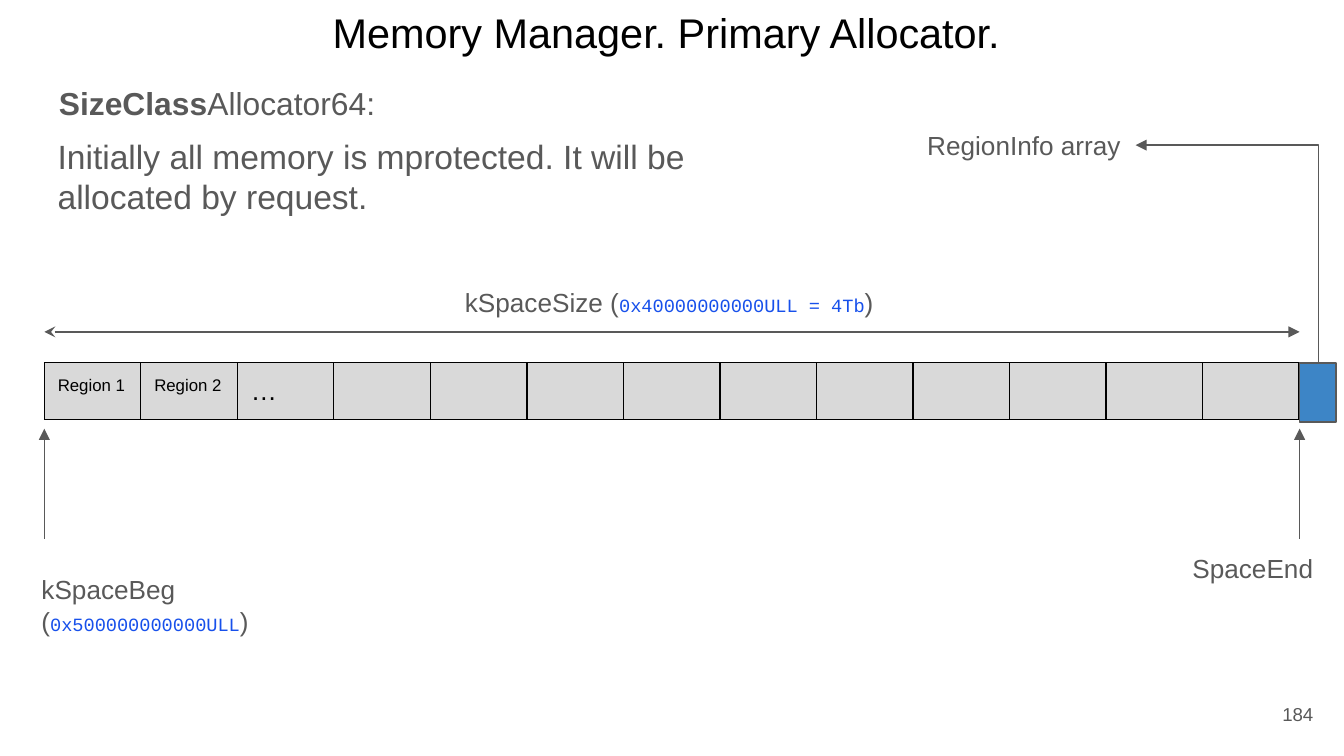
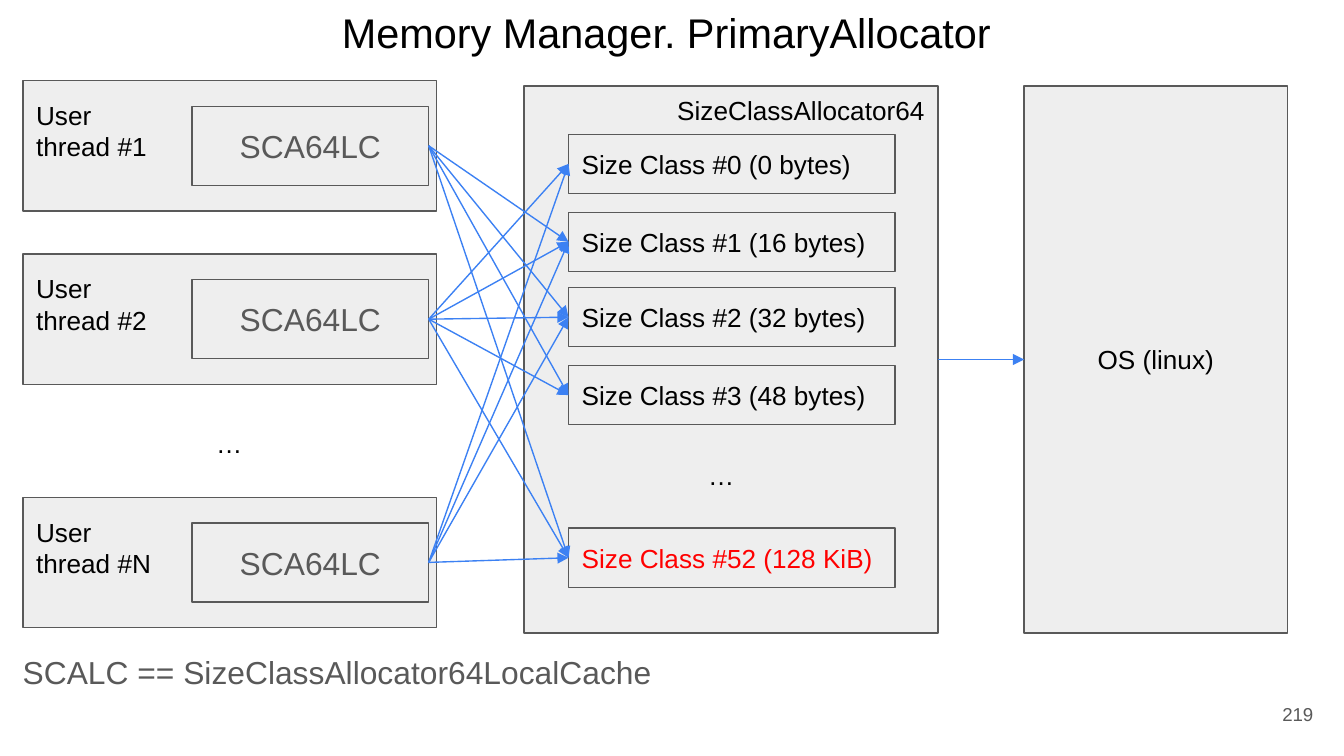
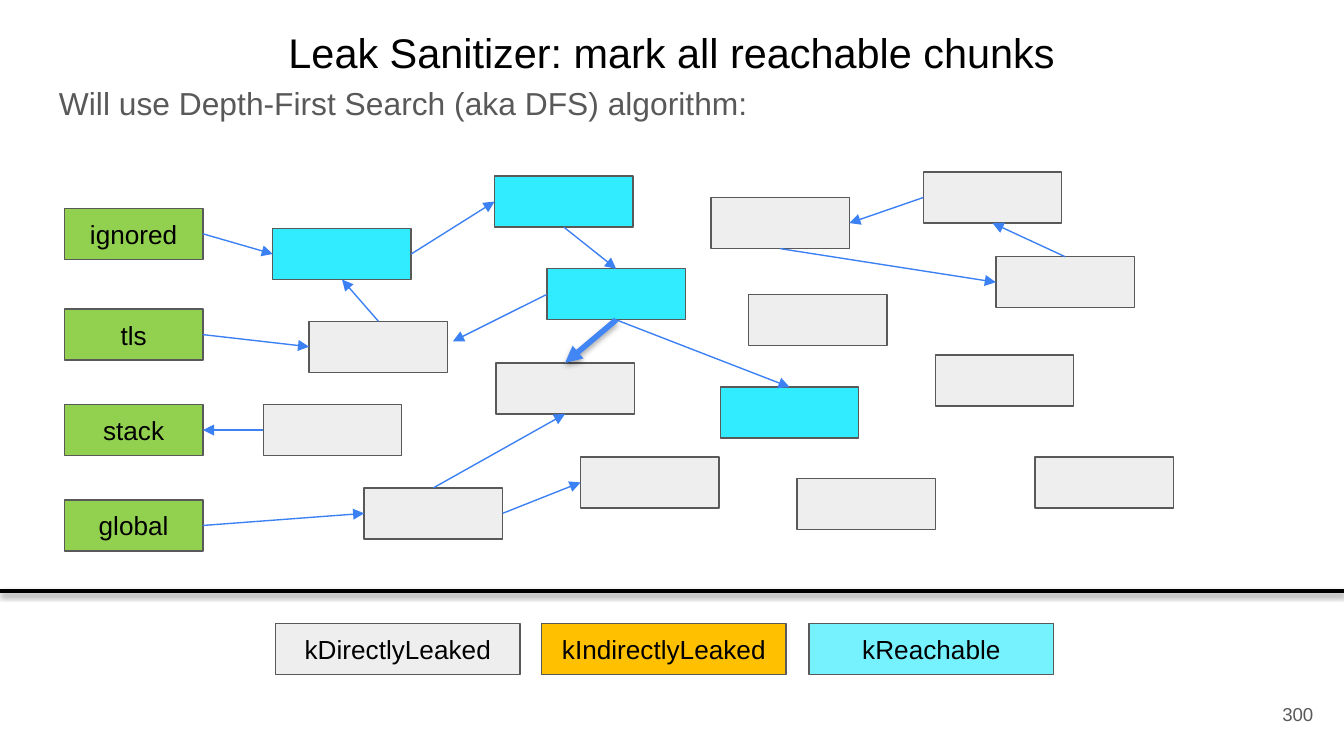
from dataclasses import dataclass, field

from lxml.etree import SubElement
from pptx import Presentation
from pptx.dml.color import RGBColor
from pptx.enum.shapes import MSO_CONNECTOR as LINK, MSO_SHAPE as PRESET
from pptx.enum.text import MSO_ANCHOR as ANCHOR, MSO_AUTO_SIZE as AUTO, PP_ALIGN as ALIGN
from pptx.oxml.ns import qn
from pptx.util import Emu, Pt

PX = 9144  # one px is a hundredth of an inch
SLIDE_WIDTH = 1000
SLIDE_HEIGHT = SLIDE_WIDTH * 9 / 16
TOP, LEFT, BOTTOM, RIGHT = range(4)  # connection sites of a rectangle


@dataclass(frozen=True)
class Theme:
    ink: str = "000000"
    gray: str = "595959"
    panel: str = "EEEEEE"
    cell: str = "D9D9D9"
    info: str = "3D85C6"
    arrow: str = "3C81F3"
    step: str = "4285F4"
    root: str = "92D050"
    reached: str = "31EBFF"
    reached_key: str = "76F2FF"
    indirect: str = "FFC000"
    hairline: float = 0.75
    inset: int = 10
    # style name: font, size, colour, bold
    styles: dict = field(default_factory=lambda: {
        "title": ("Arial", 22.2, "000000", False),
        "lead": ("Arial", 17, "595959", False),
        "strong": ("Arial", 17, "595959", True),
        "note": ("Arial", 18, "595959", False),
        "label": ("Arial", 14, "595959", False),
        "box": ("Arial", 14, "000000", False),
        "alert": ("Arial", 14, "FF0000", False),
        "region": ("Arial", 9, "000000", False),
        "code": ("Courier New", 10, "1750EB", False),
        "number": ("Arial", 10, "595959", False),
    })


THEME = Theme()

# Slide 1: address space
SPACE_LEFT, SPACE_TOP, SPACE_WIDTH, SPACE_HEIGHT = 33, 270, 934, 42
SPACE_RIGHT = SPACE_LEFT + SPACE_WIDTH
REGION_COUNT = 13
REGIONS = [("Region 1", "region"), ("Region 2", "region"), ("…", "box")]
SPACE_LABELS = [  # place, paragraphs, alignment
    ((34, 52, 952, 489), [[("SizeClass", "strong"), ("Allocator64:", "lead")]], ALIGN.LEFT),
    ((33, 91, 575, 81), [[("Initially all memory is mprotected. It will be allocated by request.",
                           "note")]], ALIGN.LEFT),
    ((336, 203, 328, 44), [[("kSpaceSize (", "label"), ("0x40000000000ULL = 4Tb", "code"),
                            (")", "label")]], ALIGN.LEFT),
    ((21, 417, 199, 67), [[("kSpaceBeg", "label")],
                          [("(", "label"), ("0x500000000000ULL", "code"), (")", "label")]],
     ALIGN.LEFT),
    ((788, 401, 199, 44), [[("SpaceEnd", "label")]], ALIGN.RIGHT),
    ((680, 86, 165, 44), [[("RegionInfo array", "label")]], ALIGN.LEFT),
]

# Slide 2: threads, size classes and the system
THREADS = [  # name, top, numbers of the size classes it reaches
    ("thread #1", 60, (1, 2, 3, 52)),
    ("thread #2", 189, (0, 1, 2, 3, 52)),
    ("thread #N", 370, (0, 1, 2, 52)),
]
SIZE_CLASSES = [  # number, size, top, style
    (0, "0 bytes", 100, "box"),
    (1, "16 bytes", 158, "box"),
    (2, "32 bytes", 214, "box"),
    (3, "48 bytes", 272, "box"),
    (52, "128 KiB", 393, "alert"),
]

# Slide 3: chunk graph
CHUNK_SIZE = (103, 38)
ROOTS = {"ignored": 155, "tls": 230, "stack": 301, "global": 372}
REACHED = {"a": (203, 170), "b": (368, 131), "c": (407, 200), "d": (536, 288)}
LEAKED = {
    "e": (230, 239), "f": (196, 301), "g": (271, 363), "h": (369, 270),
    "i": (432, 340), "j": (529, 147), "k": (557, 219), "l": (593, 356),
    "m": (687, 128), "n": (741, 191), "o": (696, 264), "p": (770, 340),
}
POINTERS = [  # source, site, target, site
    ("a", RIGHT, "b", LEFT), ("b", BOTTOM, "c", TOP),
    ("tls", RIGHT, "e", LEFT), ("ignored", RIGHT, "a", LEFT),
    ("f", LEFT, "stack", RIGHT), ("c", BOTTOM, "d", TOP),
    ("e", TOP, "a", BOTTOM), ("m", LEFT, "j", RIGHT),
    ("j", BOTTOM, "n", LEFT), ("n", TOP, "m", BOTTOM),
    ("global", RIGHT, "g", LEFT), ("g", TOP, "h", BOTTOM),
    ("g", RIGHT, "i", LEFT),
]
LEGEND = [
    ("kDirectlyLeaked", 205, THEME.panel),
    ("kIndirectlyLeaked", 403, THEME.indirect),
    ("kReachable", 602, THEME.reached_key),
]


def emu(*lengths):
    return [Emu(round(length * PX)) for length in lengths]


def color(code):
    return RGBColor.from_string(code)


def assign(target, values):
    for name, value in values.items():
        setattr(target, name, value)


def add_run(paragraph, text, style):
    run = paragraph.add_run()
    run.text = text
    name, size, ink, bold = THEME.styles[style]
    assign(run.font, dict(name=name, size=Pt(size), bold=bold))
    run.font.color.rgb = color(ink)


def write(frame, paragraphs, align=ALIGN.LEFT, anchor=ANCHOR.TOP, top=THEME.inset, spacing=None):
    """Fill a text frame with paragraphs, each a list of (text, style) runs."""
    inset, top_inset = emu(THEME.inset, top)
    assign(frame, dict(word_wrap=True, auto_size=AUTO.NONE, vertical_anchor=anchor,
                       margin_left=inset, margin_right=inset,
                       margin_top=top_inset, margin_bottom=inset))
    for index, runs in enumerate(paragraphs):
        paragraph = frame.add_paragraph() if index else frame.paragraphs[0]
        assign(paragraph, dict(alignment=align, line_spacing=spacing))
        for text, style in runs:
            add_run(paragraph, text, style)


def add_label(shapes, place, paragraphs, **layout):
    write(shapes.add_textbox(*emu(*place)).text_frame, paragraphs, **layout)


def add_box(shapes, place, fill=THEME.panel, paragraphs=(), **layout):
    box = shapes.add_shape(PRESET.RECTANGLE, *emu(*place))
    box.shadow.inherit = False
    box.fill.solid()
    box.fill.fore_color.rgb = color(fill)
    box.line.color.rgb = color(THEME.gray)
    box.line.width = Pt(THEME.hairline)
    if paragraphs:
        write(box.text_frame, paragraphs, **{"anchor": ANCHOR.MIDDLE, **layout})
    return box


def add_line(shapes, start, end, ink=THEME.arrow, width=THEME.hairline,
             head=None, tail="triangle", shadow=None):
    """Join two ends; an end is an (x, y) point or a (box, site) pair.

    shadow is (opacity in percent, blur in points, distance in points).
    """
    start_glued, end_glued = (not isinstance(tip[0], int) for tip in (start, end))
    line = shapes.add_connector(LINK.STRAIGHT, *emu(
        *((0, 0) if start_glued else start), *((0, 0) if end_glued else end)))
    if start_glued:
        line.begin_connect(*start)
    if end_glued:
        line.end_connect(*end)
    line.line.color.rgb = color(ink)
    line.line.width = Pt(width)
    stroke = line.line._get_or_add_ln()
    for tag, arrowhead in (("a:headEnd", head), ("a:tailEnd", tail)):
        if arrowhead:
            SubElement(stroke, qn(tag), type=arrowhead)
    effects = SubElement(line._element.spPr, qn("a:effectLst"))
    if shadow:
        opacity, blur, distance = shadow
        cast = SubElement(effects, qn("a:outerShdw"), blurRad=str(Pt(blur)),
                          dist=str(Pt(distance)), dir="5400000", algn="t", rotWithShape="0")
        shade = SubElement(cast, qn("a:srgbClr"), val=THEME.ink)
        SubElement(shade, qn("a:alpha"), val=str(opacity * 1000))
    return line


def add_slide(deck, title, number, title_place=(30, 0, 932, 52)):
    slide = deck.slides.add_slide(deck.slide_layouts[5])
    heading = slide.shapes.title
    assign(heading, dict(zip(("left", "top", "width", "height"), emu(*title_place))))
    write(heading.text_frame, [[(title, "title")]],
          align=ALIGN.CENTER, anchor=ANCHOR.BOTTOM, spacing=0.8)
    add_label(slide.shapes, (927, 510, 60, 43), [[(number, "number")]],
              align=ALIGN.RIGHT, anchor=ANCHOR.MIDDLE)
    return slide.shapes


def outline_cell(cell):
    properties = cell._tc.get_or_add_tcPr()
    for position, side in enumerate(("a:lnL", "a:lnR", "a:lnT", "a:lnB")):
        border = SubElement(properties, qn(side), w=str(Pt(THEME.hairline)))
        fill = SubElement(border, qn("a:solidFill"))
        SubElement(fill, qn("a:srgbClr"), val=THEME.ink)
        properties.insert(position, border)


def add_regions(shapes):
    table = shapes.add_table(1, REGION_COUNT, *emu(
        SPACE_LEFT, SPACE_TOP, SPACE_WIDTH, SPACE_HEIGHT)).table
    assign(table, dict(first_row=False, horz_banding=False))
    for column in table.columns:
        column.width, = emu(SPACE_WIDTH / REGION_COUNT)
    for cell in table.iter_cells():
        cell.fill.solid()
        cell.fill.fore_color.rgb = color(THEME.cell)
        outline_cell(cell)
    inset, = emu(THEME.inset)
    for cell, (text, style) in zip(table.iter_cells(), REGIONS):
        assign(cell, dict.fromkeys(
            ("margin_left", "margin_right", "margin_top", "margin_bottom"), inset))
        add_run(cell.text_frame.paragraphs[0], text, style)


def build_address_space(deck):
    shapes = add_slide(deck, "Memory Manager. Primary Allocator.", "184")
    add_regions(shapes)
    for place, paragraphs, align in SPACE_LABELS:
        add_label(shapes, place, paragraphs, align=align)
    for x in (SPACE_LEFT, SPACE_RIGHT):
        add_line(shapes, (x, 401), (x, 319), THEME.gray)
    add_line(shapes, (SPACE_LEFT, 247), (SPACE_RIGHT, 247), THEME.gray, head="stealth")
    add_box(shapes, (SPACE_RIGHT, SPACE_TOP, 27, 44), THEME.info)

    # The elbow is laid out unturned around its centre, then rotated a quarter turn.
    elbow = add_line(shapes, (832, 121), (994, 257), THEME.gray)
    properties = elbow._element.spPr
    properties.find(qn("a:prstGeom")).set("prst", "bentConnector2")
    properties.xfrm.set("rot", "5400000")
    properties.xfrm.set("flipH", "1")


def build_thread_caches(deck):
    shapes = add_slide(deck, "Memory Manager. PrimaryAllocator", "219")
    caches = []
    for name, top, _ in THREADS:
        add_box(shapes, (17, top, 308, 97), THEME.panel, [[("User", "box")], [(name, "box")]],
                anchor=ANCHOR.TOP, top=14)
        caches.append(add_box(shapes, (143, top + 19, 176, 59), THEME.panel,
                              [[("SCA64LC", "lead")]], align=ALIGN.CENTER))
    add_label(shapes, (151, 308, 40, 44), [[("…", "box")]])
    add_label(shapes, (7, 476, 835, 49), [[("SCALC == SizeClassAllocator64LocalCache", "lead")]])

    allocator = shapes.add_group_shape().shapes
    allocator_panel = add_box(allocator, (390, 64, 308, 407), THEME.panel,
                              [[("SizeClassAllocator64", "box")]],
                              align=ALIGN.RIGHT, anchor=ANCHOR.TOP, top=6)
    size_classes = {
        number: add_box(allocator, (423, top, 243, 44), THEME.panel,
                        [[(f"Size Class #{number} ({size})", style)]])
        for number, size, top, style in SIZE_CLASSES}
    add_label(allocator, (517, 332, 40, 44), [[("…", "box")]])

    system = add_box(shapes, (762, 64, 196, 407), THEME.panel, [[("OS (linux)", "box")]],
                     align=ALIGN.CENTER)
    for cache, (_, _, numbers) in zip(caches, THREADS):
        for number in numbers:
            add_line(shapes, (cache, RIGHT), (size_classes[number], LEFT))
    add_line(shapes, (allocator_panel, RIGHT), (system, LEFT))


def build_chunk_graph(deck):
    shapes = add_slide(deck, "Leak Sanitizer: mark all reachable chunks", "300",
                       (34, 15, 932, 52))
    add_label(shapes, (34, 52, 952, 489),
              [[("Will use Depth-First Search (aka DFS) algorithm:", "lead")]])
    chunks = {name: add_box(shapes, (48, top, *CHUNK_SIZE), THEME.root, [[(name, "box")]],
                            align=ALIGN.CENTER)
              for name, top in ROOTS.items()}
    for places, fill in ((REACHED, THEME.reached), (LEAKED, THEME.panel)):
        for name, corner in places.items():
            chunks[name] = add_box(shapes, (*corner, *CHUNK_SIZE), fill)
    for source, source_site, target, target_site in POINTERS:
        add_line(shapes, (chunks[source], source_site), (chunks[target], target_site))
    add_line(shapes, (407, 219), (337, 254))
    add_line(shapes, (chunks["c"], BOTTOM), (chunks["h"], TOP), THEME.step, 3,
             shadow=(35, 3.1, 1.8))
    for name, left, fill in LEGEND:
        add_box(shapes, (left, 464, 182, 38), fill, [[(name, "box")]], align=ALIGN.CENTER)
    add_line(shapes, (0, 440), (SLIDE_WIDTH, 440), THEME.ink, 2, tail=None,
             shadow=(38, 3.1, 1.6))


def main():
    deck = Presentation()
    deck.slide_width, deck.slide_height = emu(SLIDE_WIDTH, SLIDE_HEIGHT)
    build_address_space(deck)
    build_thread_caches(deck)
    build_chunk_graph(deck)
    deck.save("out.pptx")


if __name__ == "__main__":
    main()
